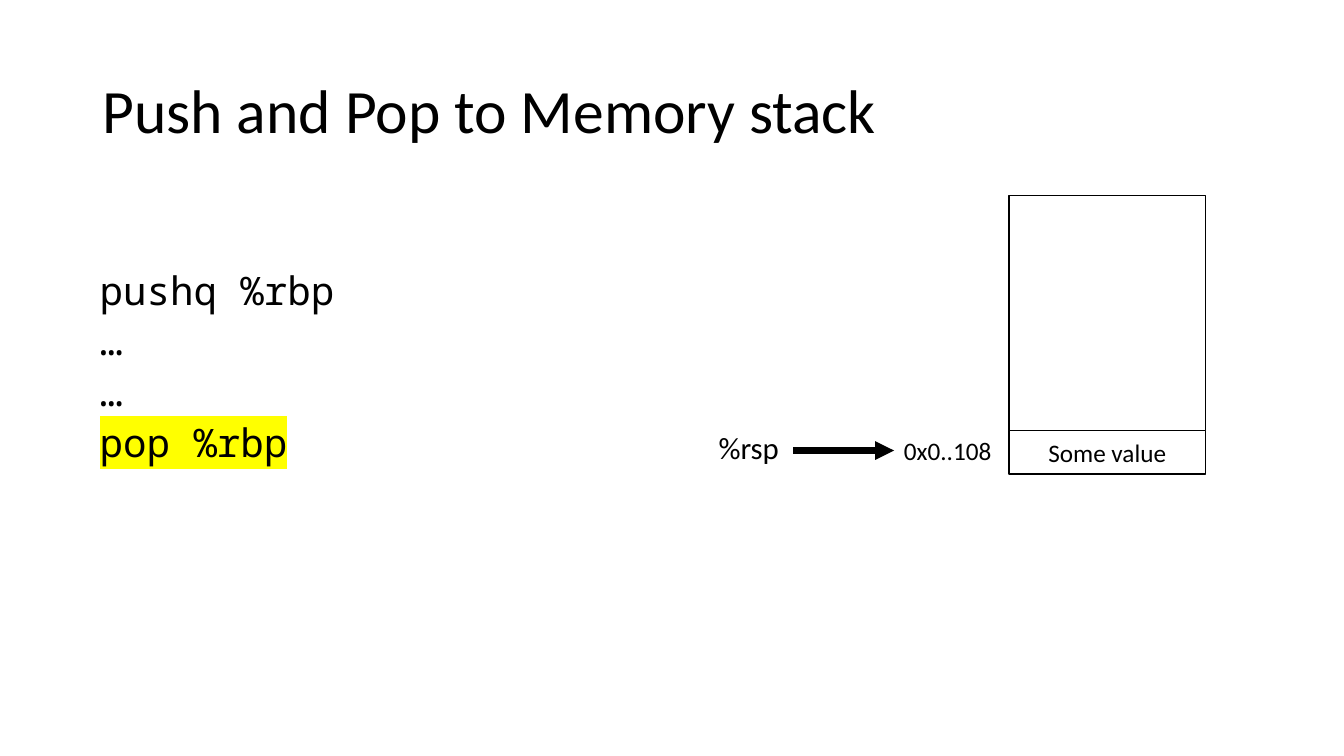
import pptx
import pptx.util
import pptx.dml.color
import pptx.enum.shapes
import pptx.enum.text
import pptx.oxml.ns
import lxml.etree

Pt = pptx.util.Pt
RGB = pptx.dml.color.RGBColor
ALIGN = pptx.enum.text.PP_ALIGN
ANCHOR = pptx.enum.text.MSO_ANCHOR
qn = pptx.oxml.ns.qn

# Content
TITLE = "Push and Pop to Memory stack"
CODE = ["pushq %rbp", "…", "…", "pop %rbp"]
CURRENT_LINE = 3
POINTER, ADDRESS, VALUE = "%rsp", "0x0..108", "Some value"

BLACK = RGB(0, 0, 0)
WHITE = RGB(255, 255, 255)
YELLOW = RGB(255, 255, 0)
BODY_FONT, CODE_FONT = "Calibri", "Noto Sans Mono"

# Memory stack geometry, in points
STACK_LEFT, STACK_TOP, STACK_WIDTH = 720.7, 139.7, 140.4
FREE_HEIGHT, CELL_HEIGHT = 167.8, 31
CELL_TOP = STACK_TOP + FREE_HEIGHT
ARROW_LEFT, ARROW_RIGHT, ARROW_Y = 566.6, 638.6, 321.8


def place(shape, left, top, width, height):
    shape.left, shape.top = Pt(left), Pt(top)
    shape.width, shape.height = Pt(width), Pt(height)


def style(paragraph, size, font=BODY_FONT):
    for run in paragraph.runs:
        run.font.size = Pt(size)
        run.font.name = font
        run.font.color.rgb = BLACK


def add_label(text, size, left, top, width, height):
    label = slide.shapes.add_textbox(Pt(left), Pt(top), Pt(width), Pt(height))
    label.text_frame.word_wrap = True
    label.text_frame.text = text
    style(label.text_frame.paragraphs[0], size)


def add_cell(top, height, text=""):
    cell = slide.shapes.add_shape(
        pptx.enum.shapes.MSO_SHAPE.RECTANGLE,
        Pt(STACK_LEFT), Pt(top), Pt(STACK_WIDTH), Pt(height))
    cell.shadow.inherit = False
    cell.fill.solid()
    cell.fill.fore_color.rgb = WHITE
    cell.line.color.rgb = BLACK
    cell.line.width = Pt(1)
    if text:
        cell.text_frame.text = text
        cell.text_frame.vertical_anchor = ANCHOR.MIDDLE
        cell.text_frame.paragraphs[0].alignment = ALIGN.CENTER
        style(cell.text_frame.paragraphs[0], 18)


deck = pptx.Presentation()
deck.slide_width, deck.slide_height = Pt(960), Pt(540)
slide = deck.slides.add_slide(deck.slide_layouts[5])

# Title
title = slide.shapes.title
place(title, 66, 28.8, 828, 104.4)
title.text_frame.text = TITLE
title.text_frame.vertical_anchor = ANCHOR.MIDDLE
title_line = title.text_frame.paragraphs[0]
title_line.alignment = ALIGN.LEFT
title_line.line_spacing = 0.9
style(title_line, 44)

# Code, with the current instruction highlighted
code = slide.shapes.add_textbox(Pt(64.1), Pt(190.3), Pt(408.2), Pt(300.7))
code.text_frame.word_wrap = True
code.text_frame.text = "\n".join(CODE)
for number, instruction in enumerate(code.text_frame.paragraphs):
    instruction.line_spacing = 0.9
    instruction.space_before = Pt(6 if number else 0)
    style(instruction, 28, CODE_FONT)

run_properties = code.text_frame.paragraphs[CURRENT_LINE].runs[0].font._element
highlight = lxml.etree.Element(qn("a:highlight"))
lxml.etree.SubElement(highlight, qn("a:srgbClr"), val=str(YELLOW))
run_properties.find(qn("a:solidFill")).addnext(highlight)

# Memory stack
add_cell(STACK_TOP, FREE_HEIGHT)
add_cell(CELL_TOP, CELL_HEIGHT, VALUE)

# Stack pointer
arrow = slide.shapes.add_connector(
    pptx.enum.shapes.MSO_CONNECTOR.STRAIGHT,
    Pt(ARROW_LEFT), Pt(ARROW_Y), Pt(ARROW_RIGHT), Pt(ARROW_Y))
arrow.line.color.rgb = BLACK
arrow.line.width = Pt(4.5)
lxml.etree.SubElement(arrow.line._get_or_add_ln(), qn("a:tailEnd"), type="triangle")
lxml.etree.SubElement(arrow._element.spPr, qn("a:effectLst"))
add_label(POINTER, 22, 506.2, 302.4, 64, 33.8)
add_label(ADDRESS, 18, ARROW_RIGHT, CELL_TOP, 80, 28.8)

deck.save("out.pptx")
